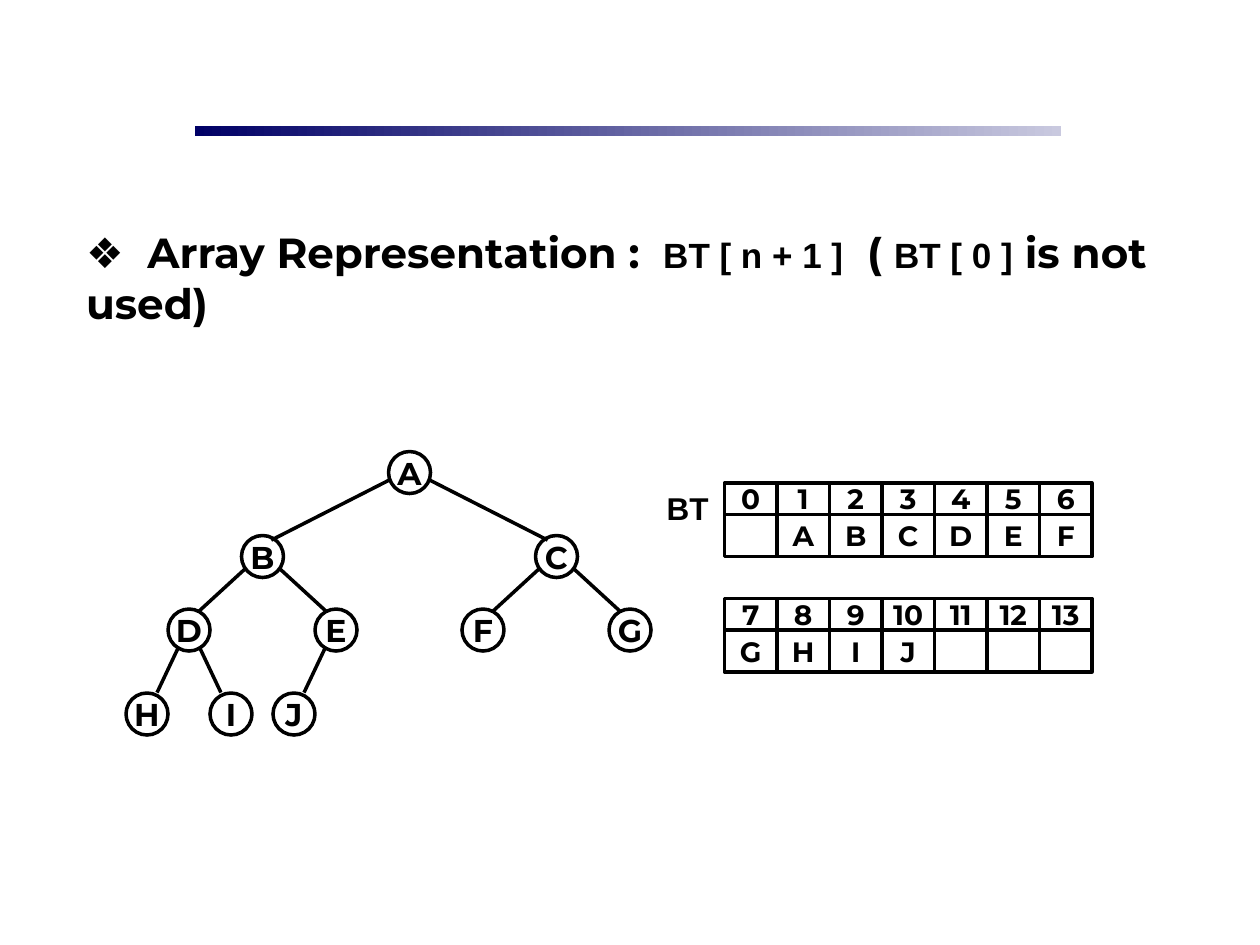
from lxml.etree import SubElement
from pptx import Presentation
from pptx.dml.color import RGBColor
from pptx.enum.shapes import MSO_CONNECTOR, MSO_SHAPE
from pptx.enum.text import MSO_ANCHOR, MSO_AUTO_SIZE, PP_ALIGN
from pptx.oxml.ns import qn
from pptx.util import Inches, Pt

BLACK, WHITE = "000000", "FFFFFF"
UNIT = 1 / 12  # grid step in inches

# Binary tree: nodes in heap order, children of i are 2i and 2i + 1
NODES = "ABCDEFGHIJ"
LEVEL_ROWS = [45, 53, 60, 68]  # node centre of each level, in grid steps
SPREADS = [14, 7, 4]  # sideways step from each level to its children
NODE_SIZE = 4
# Edge ends of each level: (x, y) from the parent centre, then from the child centre
EDGE_ENDS = [(0.16, 0.06, 0.07, 0.13), (0.14, 0.10, 0.08, 0.15), (0.08, 0.13, 0.08, 0.17)]

# Array: 14 cells in two strips
ARRAY_COLUMNS, ARRAY_LEFT, CELL_WIDTH = 7, 69, 5
STRIP_TOPS = [46, 57]
INDEX_HEIGHT, VALUE_HEIGHT = 3, 4

HEADING = [
    ("❖", "Arial", 24),
    ("  Array Representation :  ", "Montserrat", 24),
    ("BT [ n + 1 ]", "Arial", 20),
    ("  ( ", "Montserrat", 24),
    ("BT [ 0 ]", "Arial", 20),
    (" is not used)", "Montserrat", 24),
]


def color(hex_value):
    return RGBColor.from_string(hex_value)


def grid(steps):
    return Inches(steps * UNIT)


def write(frame, runs, align=PP_ALIGN.LEFT, anchor=MSO_ANCHOR.TOP, wrap=True, before=0):
    """Fill a text frame with one bold paragraph of (text, font, size) runs."""
    frame.word_wrap = wrap
    frame.vertical_anchor = anchor
    paragraph = frame.paragraphs[0]
    paragraph.alignment = align
    paragraph.space_before = Pt(before)
    for text, font, size in runs:
        run = paragraph.add_run()
        run.text = text
        run.font.name = font
        run.font.size = Pt(size)
        run.font.bold = True
        run.font.color.rgb = color(BLACK)


def add_outline(shapes, preset, column, row, width, height, text, size):
    box = shapes.add_shape(preset, grid(column), grid(row), grid(width), grid(height))
    box.shadow.inherit = False
    box.fill.background()
    box.line.color.rgb = color(BLACK)
    box.line.width = Pt(2)
    if text:
        write(box.text_frame, [(text, "Montserrat", size)],
              align=PP_ALIGN.CENTER, anchor=MSO_ANCHOR.MIDDLE, wrap=False)


def add_edge(shapes, x1, y1, x2, y2):
    edge = shapes.add_connector(MSO_CONNECTOR.STRAIGHT,
                                Inches(x1), Inches(y1), Inches(x2), Inches(y2))
    edge.line.color.rgb = color(BLACK)
    edge.line.width = Pt(2)
    SubElement(edge.element.spPr, qn("a:effectLst"))


def add_backdrop(slide):
    # Gradient rule under the title area
    rule = slide.shapes.add_shape(MSO_SHAPE.RECTANGLE, Inches(1.55), Inches(1),
                                  Inches(6.87), Inches(0.08))
    rule.fill.gradient()
    rule.fill.gradient_angle = 0
    for stop, shade in zip(rule.fill.gradient_stops, ["000066", "C9C9DF"]):
        stop.color.rgb = color(shade)
    # White panel behind the tree
    panel = slide.shapes.add_shape(MSO_SHAPE.RECTANGLE, Inches(1.5), Inches(2.42),
                                   Inches(5.75), Inches(4.42))
    panel.fill.solid()
    panel.fill.fore_color.rgb = color(WHITE)
    for part in (rule, panel):
        part.line.fill.background()
        part.shadow.inherit = False


def add_heading(slide):
    heading = slide.shapes.title
    heading.left, heading.top = grid(7), grid(21)
    heading.width, heading.height = grid(107), Inches(0.9)
    heading.text_frame.auto_size = MSO_AUTO_SIZE.SHAPE_TO_FIT_TEXT
    write(heading.text_frame, HEADING, before=15)
    # Bring the heading in front of the panel
    heading.element.getparent().append(heading.element)


def add_tree(slide):
    shapes = slide.shapes.add_group_shape().shapes
    columns = {1: 39}
    for index, letter in enumerate(NODES, start=1):
        level = index.bit_length() - 1
        row = LEVEL_ROWS[level]
        if index > 1:
            parent = index // 2
            side = 1 if index % 2 else -1
            columns[index] = columns[parent] + side * SPREADS[level - 1]
            out_x, out_y, in_x, in_y = EDGE_ENDS[level - 1]
            add_edge(shapes,
                     columns[parent] * UNIT + side * out_x,
                     LEVEL_ROWS[level - 1] * UNIT + out_y,
                     columns[index] * UNIT - side * in_x,
                     row * UNIT - in_y)
        add_outline(shapes, MSO_SHAPE.OVAL, columns[index] - NODE_SIZE / 2,
                    row - NODE_SIZE / 2, NODE_SIZE, NODE_SIZE, letter, 18)
    # F and G complete the third level; every edge is drawn with its child


def add_array(slide):
    shapes = slide.shapes.add_group_shape().shapes
    label = shapes.add_textbox(grid(62), grid(46), grid(7), Inches(0.4))
    write(label.text_frame, [("BT", "Arial", 18)], align=PP_ALIGN.CENTER, before=11.2)
    for index in range(ARRAY_COLUMNS * len(STRIP_TOPS)):
        strip, position = divmod(index, ARRAY_COLUMNS)
        column = ARRAY_LEFT + position * CELL_WIDTH
        top = STRIP_TOPS[strip]
        value = NODES[index - 1] if 1 <= index <= len(NODES) else ""
        add_outline(shapes, MSO_SHAPE.RECTANGLE, column, top,
                    CELL_WIDTH, INDEX_HEIGHT, str(index), 16)
        add_outline(shapes, MSO_SHAPE.RECTANGLE, column, top + INDEX_HEIGHT,
                    CELL_WIDTH, VALUE_HEIGHT, value, 16)


def main():
    deck = Presentation()
    deck.slide_width, deck.slide_height = Inches(10), Inches(7.5)
    slide = deck.slides.add_slide(deck.slide_layouts[5])
    add_backdrop(slide)
    add_heading(slide)
    add_tree(slide)
    add_array(slide)
    deck.save("out.pptx")


if __name__ == "__main__":
    main()
